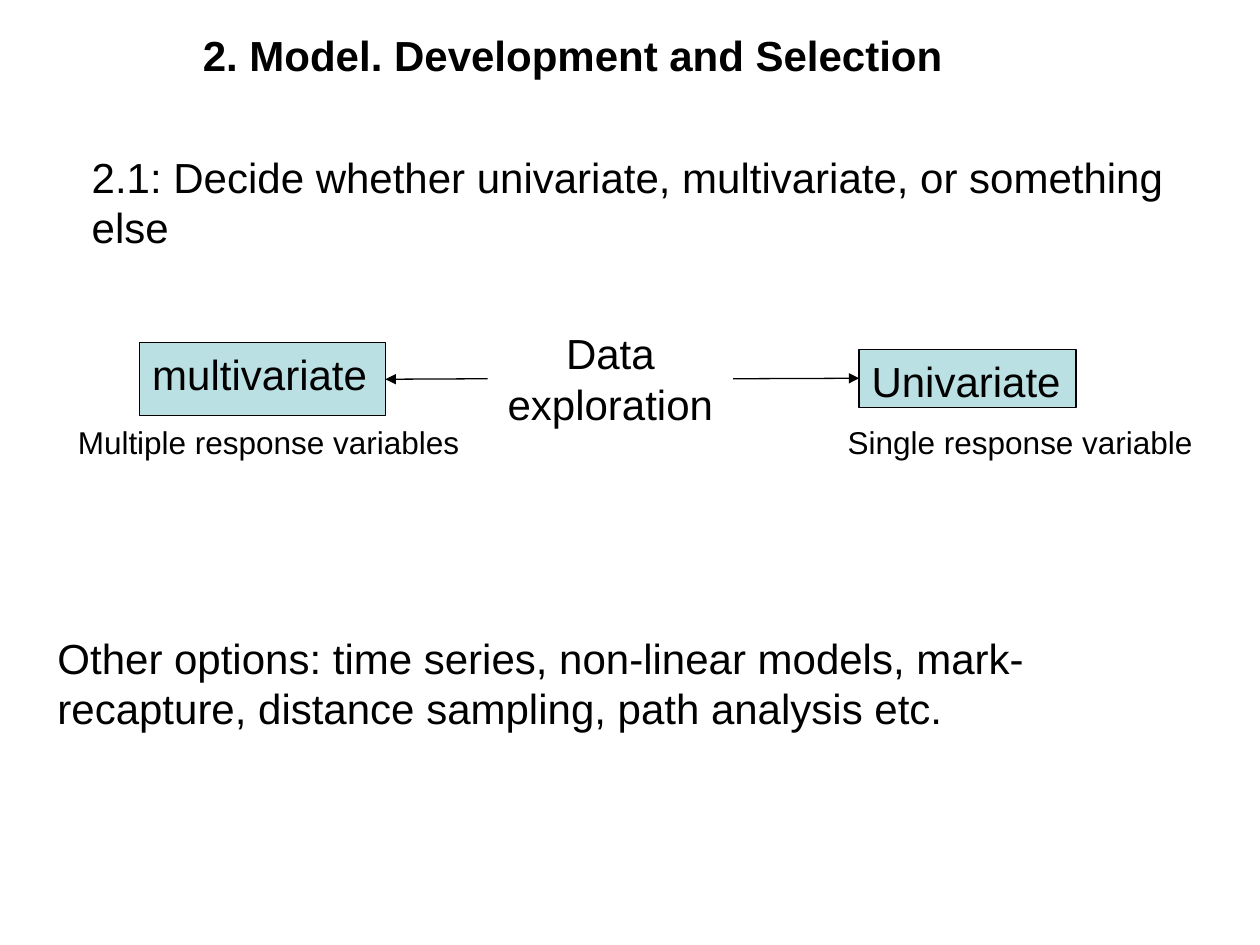
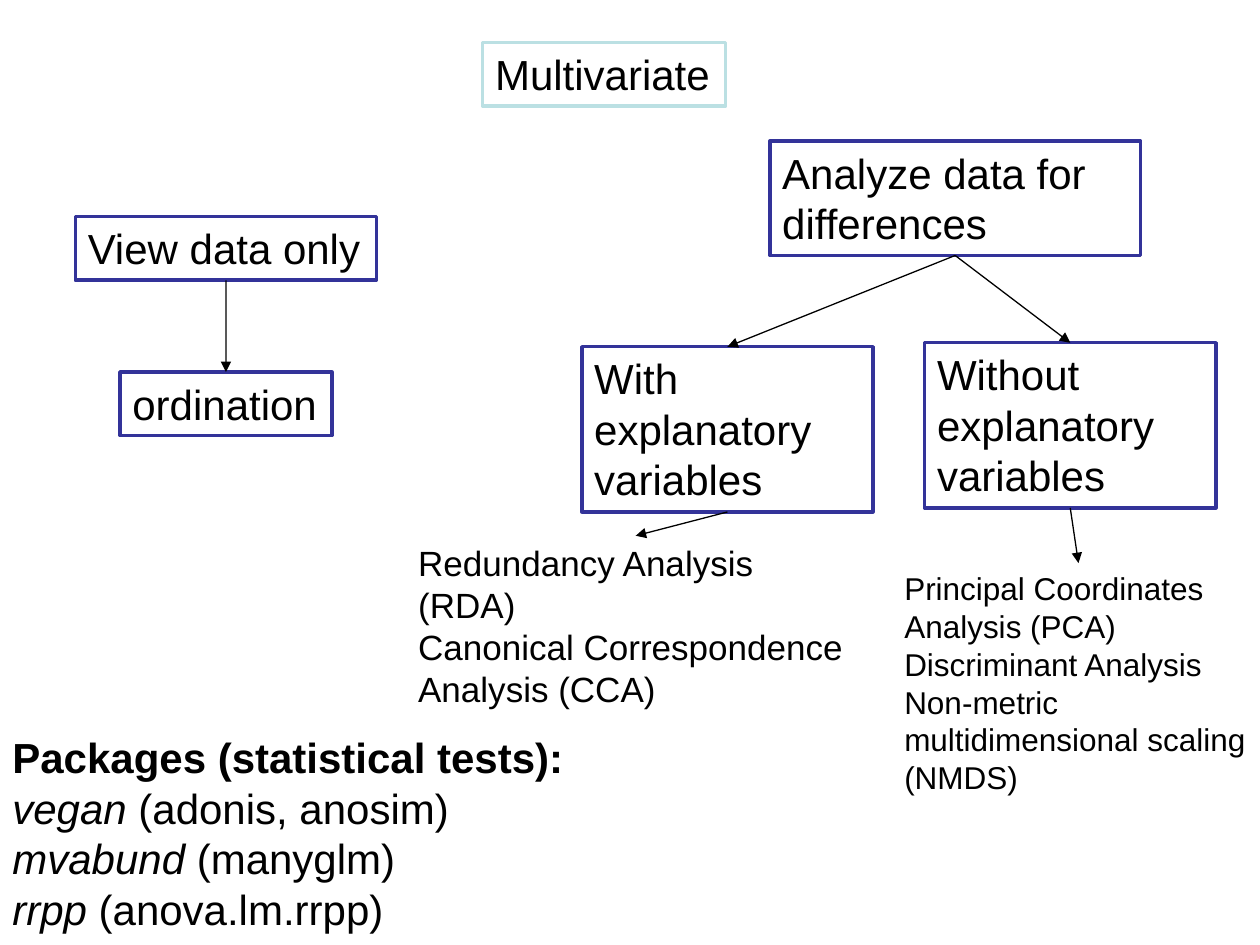
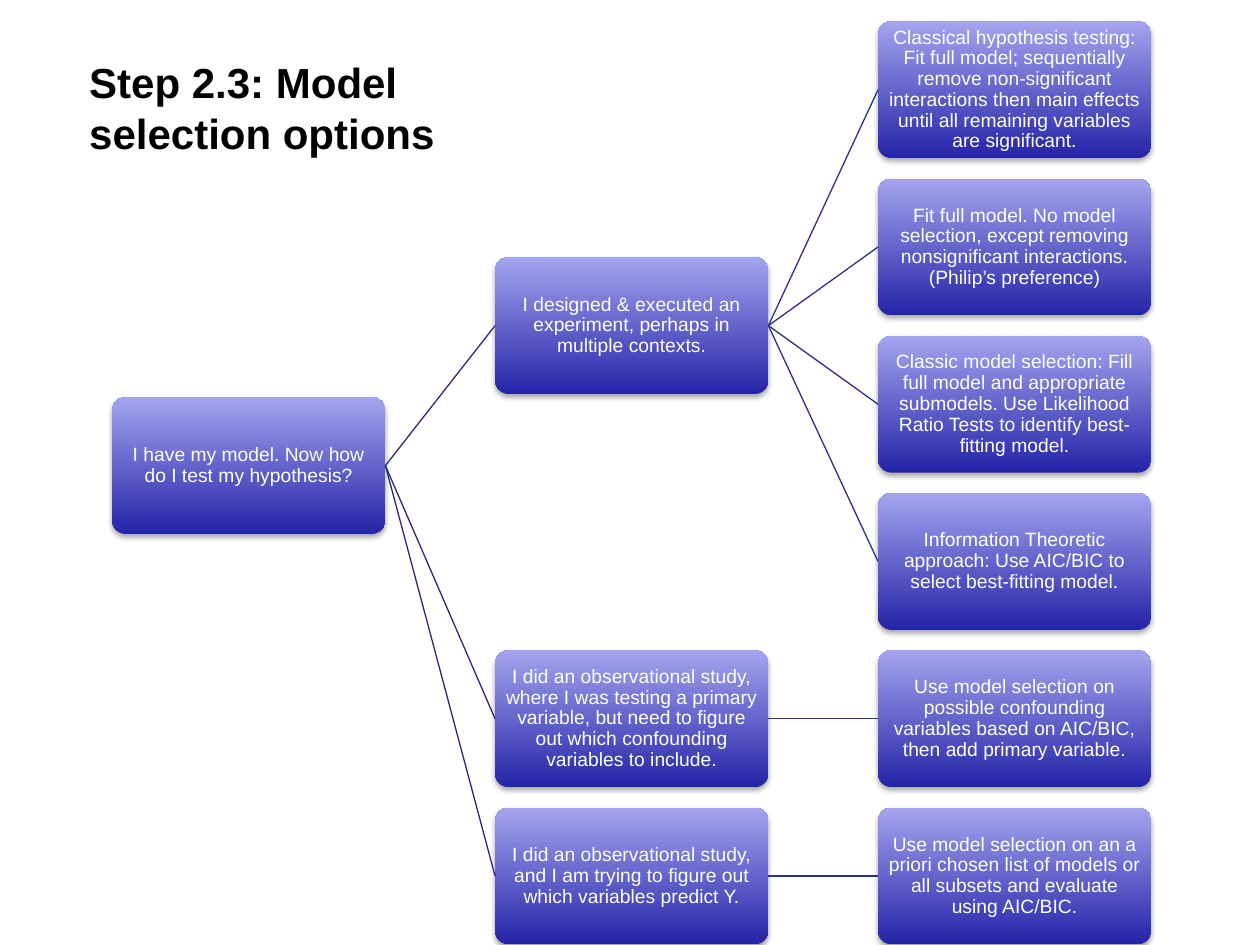
import lxml.etree
import pptx
import pptx.dml.color
import pptx.enum.shapes
import pptx.enum.text
import pptx.oxml.ns
import pptx.util

Cm = pptx.util.Cm
Pt = pptx.util.Pt
qn = pptx.oxml.ns.qn
RGBColor = pptx.dml.color.RGBColor
PRESET = pptx.enum.shapes.MSO_SHAPE
ALIGN = pptx.enum.text.PP_ALIGN
ANCHOR = pptx.enum.text.MSO_ANCHOR

BLACK = RGBColor(0x00, 0x00, 0x00)
WHITE = RGBColor(0xFF, 0xFF, 0xFF)
PALE_TEAL = RGBColor(0xBB, 0xE0, 0xE3)
INDIGO = RGBColor(0x33, 0x33, 0x99)
CARD_BOTTOM = RGBColor(0x24, 0x24, 0xA8)
CARD_TOP = RGBColor(0xA4, 0xA4, 0xEF)
ROOT_BRANCH = RGBColor(0x29, 0x29, 0x7B)
LEAF_BRANCH = RGBColor(0x2E, 0x2E, 0x8B)

FONT = "Arial"
TOP, LEFT, BOTTOM, RIGHT = range(4)


def write(slide, text, at, size=24, color=BLACK, bold_lines=0, align=ALIGN.LEFT,
          anchor=ANCHOR.TOP, wrap=True, spacing=1.0, inset=None,
          preset=None, fill=None, outline=None, outline_width=2):
    """Place text at (left, top, width, height) in cm; *asterisks* mark italics."""
    place = [Cm(length) for length in at]
    if preset is None:
        box = slide.shapes.add_textbox(*place)
    else:
        box = slide.shapes.add_shape(preset, *place)
        box.shadow.inherit = False
        if fill is not None:
            box.fill.solid()
            box.fill.fore_color.rgb = fill
        if outline is None:
            box.line.fill.background()
        else:
            box.line.color.rgb = outline
            box.line.width = Pt(outline_width)
    frame = box.text_frame
    frame.word_wrap = wrap
    frame.vertical_anchor = anchor
    if inset is not None:
        frame.margin_left = frame.margin_right = Cm(inset)
        frame.margin_top = frame.margin_bottom = Cm(inset)
    for number, line in enumerate(text.split("\n")):
        paragraph = frame.add_paragraph() if number else frame.paragraphs[0]
        paragraph.alignment = align
        paragraph.line_spacing = spacing
        for position, piece in enumerate(line.split("*")):
            if piece:
                run = paragraph.add_run()
                run.text = piece
                run.font.name = FONT
                run.font.size = Pt(size)
                run.font.color.rgb = color
                run.font.bold = number < bold_lines
                run.font.italic = position % 2 == 1
    return box


def join(slide, start, start_side, end, end_side, color=BLACK, arrow=True):
    link = slide.shapes.add_connector(pptx.enum.shapes.MSO_CONNECTOR.STRAIGHT, 0, 0, 0, 0)
    link.begin_connect(start, start_side)
    link.end_connect(end, end_side)
    link.line.color.rgb = color
    link.line.width = Pt(0.75)
    properties = link._element.spPr
    if arrow:
        lxml.etree.SubElement(properties.find(qn("a:ln")), qn("a:tailEnd"), type="triangle")
    lxml.etree.SubElement(properties, qn("a:effectLst"))


deck = pptx.Presentation()
deck.slide_width = Cm(25.4)
deck.slide_height = Cm(19.05)
blank = deck.slide_layouts[6]

# Slide 1: univariate or multivariate
decision = deck.slides.add_slide(blank)
write(decision, "2. Model. Development and Selection", (3.84, 0.48, 15.8, 1.27),
      bold_lines=1, wrap=False)
write(decision, "2.1: Decide whether univariate, multivariate, or something else",
      (1.6, 2.92, 22.2, 2.31))
exploration = write(decision, "Data exploration", (9.83, 6.48, 4.95, 2.31), align=ALIGN.CENTER)
teal_box = dict(preset=PRESET.RECTANGLE, fill=PALE_TEAL, outline=BLACK, outline_width=0.75)
multivariate = write(decision, "multivariate", (2.82, 6.91, 4.95, 1.47), **teal_box)
univariate = write(decision, "Univariate", (17.32, 7.04, 4.37, 1.17), **teal_box)
join(decision, exploration, RIGHT, univariate, LEFT)
join(decision, exploration, LEFT, multivariate, RIGHT)
write(decision, "Multiple response variables", (1.32, 8.41, 8.43, 1.02), size=18)
write(decision, "Single response variable", (16.84, 8.41, 7.8, 1.02), size=18)
write(decision, "Other options: time series, non-linear models, mark-recapture, "
      "distance sampling, path analysis etc.", (0.91, 12.62, 23.37, 2.31))

# Slide 2: multivariate methods
methods = deck.slides.add_slide(blank)
step_box = dict(preset=PRESET.RECTANGLE, fill=WHITE, outline=INDIGO)
write(methods, "Multivariate", (9.73, 0.86, 4.9, 1.28), wrap=False,
      preset=PRESET.RECTANGLE, fill=WHITE, outline=PALE_TEAL)
view_only = write(methods, "View data only", (1.52, 4.37, 6.07, 1.28), wrap=False, **step_box)
ordination = write(methods, "ordination", (2.42, 7.5, 4.27, 1.28), wrap=False, **step_box)
analyze = write(methods, "Analyze data for differences", (15.52, 2.84, 7.47, 2.31), **step_box)
with_variables = write(methods, "With explanatory variables", (11.73, 6.99, 5.87, 3.33),
                       **step_box)
without_variables = write(methods, "Without explanatory variables", (18.64, 6.91, 5.87, 3.33),
                          **step_box)
redundancy = write(methods, "Redundancy Analysis (RDA)\nCanonical Correspondence Analysis (CCA)",
                   (8.18, 10.8, 9.27, 3.68), size=20)
coordinates = write(methods, "Principal Coordinates Analysis (PCA)\nDiscriminant Analysis\n"
                    "Non-metric multidimensional scaling (NMDS)",
                    (17.98, 11.35, 7.52, 4.88), size=18)
write(methods, "Packages (statistical tests):\n*vegan* (adonis, anosim)\n"
      "*mvabund* (manyglm)\n*rrpp* (anova.lm.rrpp)", (0, 14.63, 11.73, 4.37), bold_lines=1)
for upper, lower in [(view_only, ordination), (analyze, with_variables),
                     (analyze, without_variables), (with_variables, redundancy),
                     (without_variables, coordinates)]:
    join(methods, upper, BOTTOM, lower, TOP)

# Slide 3: tree of model selection options
selection = deck.slides.add_slide(blank)
write(selection, "Step 2.3: Model selection options", (1.55, 1.02, 7.47, 2.31), bold_lines=1)

FIRST_LEFT, COLUMN_STEP = 2.26, 7.72
FIRST_TOP, ROW_STEP = 0.43, 3.17
CARD_WIDTH, CARD_HEIGHT = 5.51, 2.76

# column, row, index of the parent card, text
options = [
    (0, 2.39, None, "I have my model. Now how do I test my hypothesis?"),
    (1, 1.5, 0, "I designed & executed an experiment, perhaps in multiple contexts."),
    (2, 0, 1, "Classical hypothesis testing: Fit full model; sequentially remove "
     "non-significant interactions then main effects until all remaining variables "
     "are significant."),
    (2, 1, 1, "Fit full model. No model selection, except removing nonsignificant "
     "interactions. (Philip’s preference)"),
    (2, 2, 1, "Classic model selection: Fill full model and appropriate submodels. "
     "Use Likelihood Ratio Tests to identify best-fitting model."),
    (2, 3, 1, "Information Theoretic approach: Use AIC/BIC to select best-fitting model."),
    (1, 4, 0, "I did an observational study, where I was testing a primary variable, "
     "but need to figure out which confounding variables to include."),
    (2, 4, 6, "Use model selection on possible confounding variables based on AIC/BIC, "
     "then add primary variable."),
    (1, 5, 0, "I did an observational study, and I am trying to figure out which "
     "variables predict Y."),
    (2, 5, 8, "Use model selection on an a priori chosen list of models or all subsets "
     "and evaluate using AIC/BIC."),
]
cards = []
for column, row, parent, option in options:
    card = write(selection, option,
                 (FIRST_LEFT + column * COLUMN_STEP, FIRST_TOP + row * ROW_STEP,
                  CARD_WIDTH, CARD_HEIGHT),
                 size=11, color=WHITE, align=ALIGN.CENTER, anchor=ANCHOR.MIDDLE,
                 spacing=0.9, inset=0.11, preset=PRESET.ROUNDED_RECTANGLE)
    card.adjustments[0] = 0.1
    card.fill.gradient()
    card.fill.gradient_angle = 90
    for stop, shade in zip(card.fill.gradient_stops, (CARD_BOTTOM, CARD_TOP)):
        stop.color.rgb = shade
    effects = card._element.spPr.find(qn("a:effectLst"))
    shadow = lxml.etree.SubElement(effects, qn("a:outerShdw"), blurRad=str(Pt(3.1)),
                                   dist=str(Pt(1.8)), dir="5400000", rotWithShape="0")
    shadow_color = lxml.etree.SubElement(shadow, qn("a:srgbClr"), val=str(BLACK))
    lxml.etree.SubElement(shadow_color, qn("a:alpha"), val="35000")
    cards.append(card)
    if parent is not None:
        join(selection, cards[parent], RIGHT, card, LEFT, arrow=False,
             color=ROOT_BRANCH if parent == 0 else LEAF_BRANCH)

deck.save("out.pptx")
